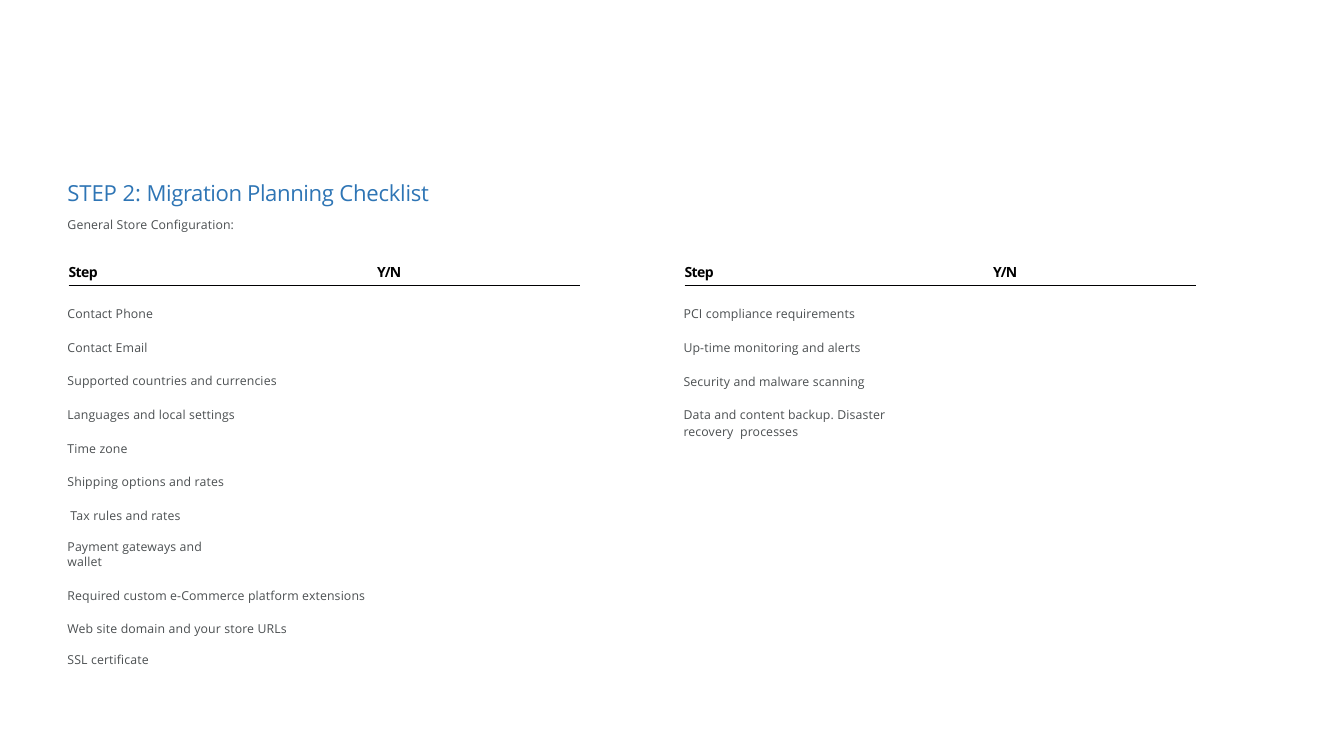
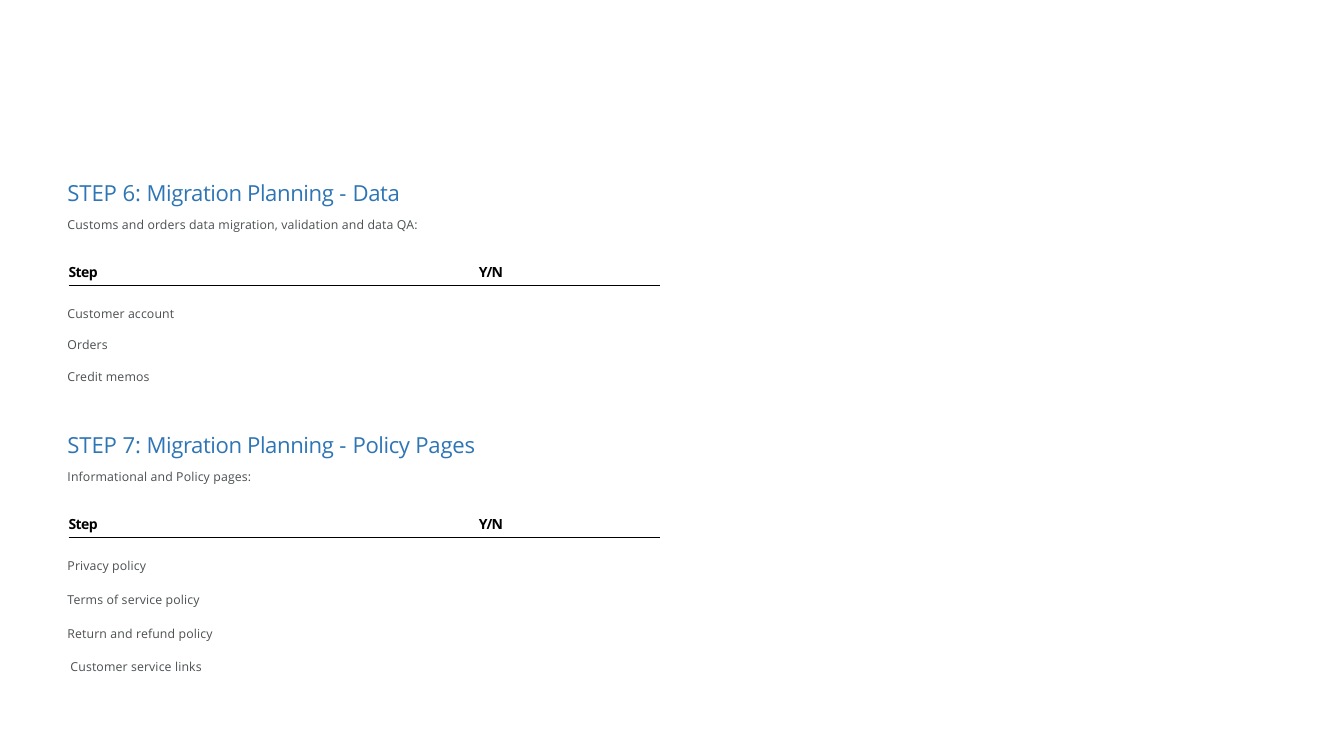
from pptx import Presentation
from pptx.dml.color import RGBColor
from pptx.enum import shapes
from pptx.oxml import parse_xml
from pptx.oxml.ns import nsdecls
from pptx.util import Inches, Pt

FONT = "Open Sans"
BLUE = RGBColor(0x2E, 0x75, 0xB5)
GREY = RGBColor(0x4B, 0x4F, 0x51)
BLACK = RGBColor(0, 0, 0)
RULE = RGBColor(0, 0, 1)

# Content: each row is text, or text with its own format
TIGHT = dict(before=11.7)
INDENTED = dict(indent=0.03)

STORE = ["Contact Phone", "Contact Email", "Supported countries and currencies",
         "Languages and local settings", "Time zone", "Shipping options and rates",
         ("Tax rules and rates", INDENTED),
         ("Payment gateways and\nwallet", TIGHT),
         "Required custom e-Commerce platform extensions",
         "Web site domain and your store URLs",
         ("SSL certificate", TIGHT)]
HOSTING = ["PCI compliance requirements", "Up-time monitoring and alerts",
           "Security and malware scanning",
           ("Data and content backup. Disaster\nrecovery  processes",
            dict(before=12, line=1.14))]
DATA = ["Customer account", ("Orders", TIGHT), ("Credit memos", TIGHT)]
POLICY = ["Privacy policy", "Terms of service policy", "Return and refund policy",
          ("Customer service links", INDENTED)]

# Title runs are (text, letter spacing in points)
STEP2 = [("STEP 2: ", -0.1), ("Migration Planning ", -0.3), ("Checklist", -0.2)]
STEP6 = [("STEP 6: ", -0.1), ("Migration Planning ", -0.3), ("- ", 0.1), ("Data", -0.3)]
STEP7 = [("STEP 7: ", -0.1), ("Migration Planning ", -0.3), ("- ", 0.1),
         ("Policy ", -0.3), ("Pages", -0.2)]

# Per slide: rule width, Y/N offset, and checklists (left, top, title, subtitle, rows)
SLIDES = [
    (5.07, 3.06, [(0.66, 1.77, STEP2, "General Store Configuration:", STORE),
                  (6.77, 1.77, None, None, HOSTING)]),
    (5.87, 4.07, [(0.66, 1.77, STEP6,
                   "Customs and orders data migration, validation and data QA:", DATA),
                  (0.66, 4.27, STEP7, "Informational and Policy pages:", POLICY)]),
]

# Offsets from the top of a checklist
HEAD_DY, RULE_DY, ROWS_DY = 0.83, 1.06, 1.26
ROW_GAP, ROW_PITCH = 13.5, 0.33


def add_box(s, x, y, w, h):
    tf = s.shapes.add_textbox(Inches(x), Inches(y), Inches(w), Inches(h)).text_frame
    tf.word_wrap = True
    tf.margin_left = tf.margin_top = Inches(0.01)
    tf.margin_right = tf.margin_bottom = 0
    return tf


def add_text(tf, text, size=8.8, color=GREY, bold=False, spacing=0.1,
             before=0.8, indent=0, line=None):
    """Add a paragraph; text is a string or a list of (text, spacing) runs."""
    first = tf.paragraphs[0]
    p = tf.add_paragraph() if first.runs else first
    p.space_before = Pt(before)
    if line:
        p.line_spacing = line
    if indent:
        p._p.get_or_add_pPr().set("marL", str(Inches(indent)))
    for words, spc in [(text, spacing)] if isinstance(text, str) else text:
        for i, part in enumerate(words.split("\n")):
            if i:
                p.add_line_break()
            r = p.add_run()
            r.text = part
            f = r.font
            f.name, f.size, f.bold = FONT, Pt(size), bold
            f.color.rgb = color
            r._r.get_or_add_rPr().set("spc", str(round(spc * 100)))


def add_rule(s, x, y, w):
    rule = s.shapes.add_connector(shapes.MSO_CONNECTOR.STRAIGHT, Inches(x), Inches(y),
                                  Inches(x + w), Inches(y))
    rule.line.color.rgb = RULE
    rule.line.width = Pt(0.82)
    rule._element.spPr.append(parse_xml("<a:effectLst %s/>" % nsdecls("a")))


def add_checklist(s, x, y, title, subtitle, rows, rule_w, yn_dx):
    # Title and subtitle
    if title:
        tf = add_box(s, x, y, 5, 0.54)
        add_text(tf, title, size=15.8, color=BLUE)
        add_text(tf, subtitle, before=8.1)
    # Column heads and rule
    for label, dx, spacing in [("Step", 0, -0.4), ("Y/N", yn_dx, -0.6)]:
        tf = add_box(s, x + 0.01 + dx, y + HEAD_DY, 0.5, 0.18)
        add_text(tf, label, size=10, color=BLACK, bold=True, spacing=spacing, before=0.6)
    add_rule(s, x + 0.02, y + RULE_DY, rule_w)
    # Rows
    tf = add_box(s, x, y + ROWS_DY, yn_dx, len(rows) * ROW_PITCH)
    for i, row in enumerate(rows):
        text, fmt = (row, {}) if isinstance(row, str) else row
        add_text(tf, text, **{"before": ROW_GAP if i else 0.8, **fmt})


prs = Presentation()
prs.slide_width, prs.slide_height = Inches(13.33), Inches(7.5)
for rule_w, yn_dx, checklists in SLIDES:
    s = prs.slides.add_slide(prs.slide_layouts[6])
    for checklist in checklists:
        add_checklist(s, *checklist, rule_w, yn_dx)
prs.save("out.pptx")
